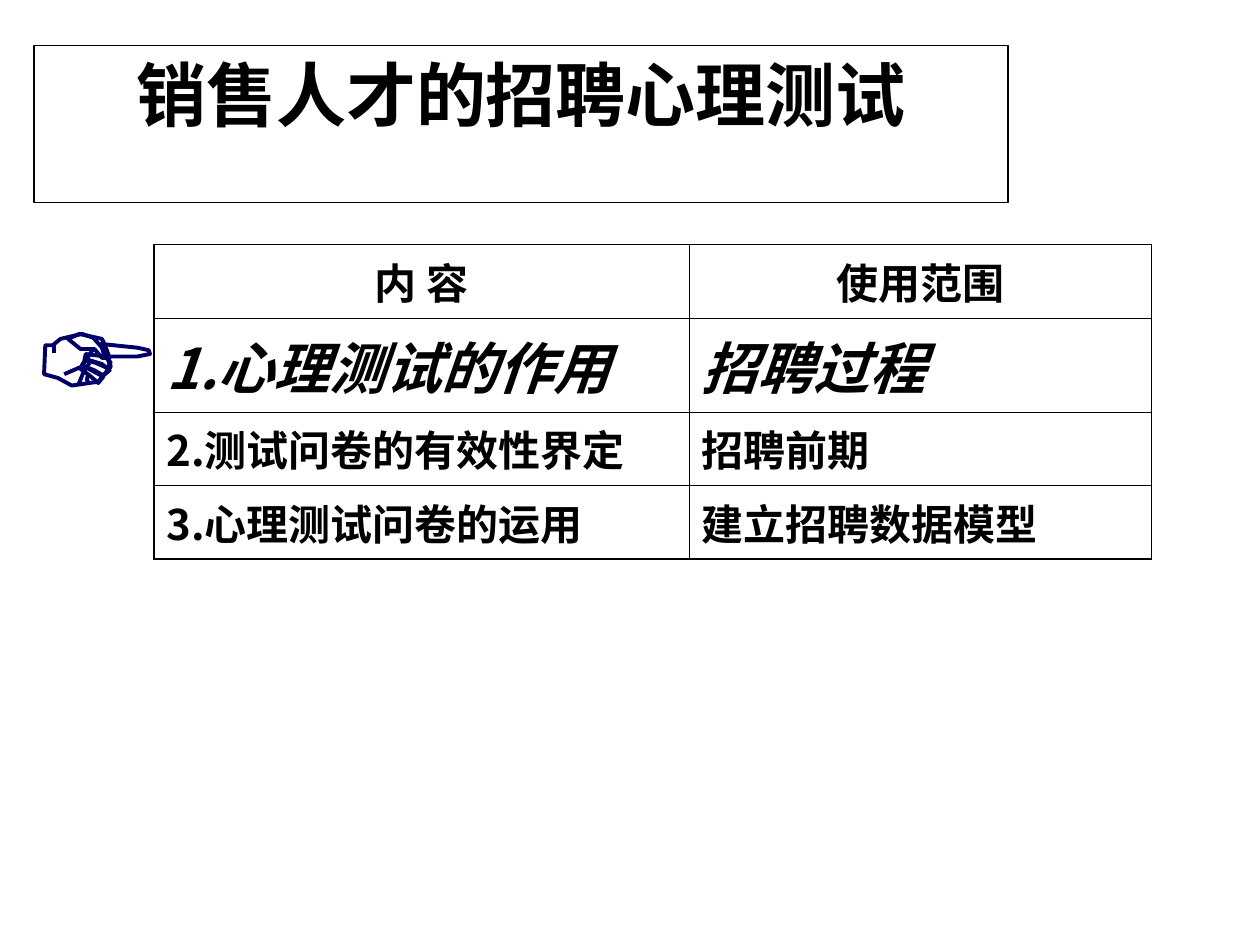
from dataclasses import dataclass

from pptx import Presentation
from pptx.dml.color import RGBColor as Color
from pptx.enum.text import MSO_ANCHOR as Anchor, MSO_AUTO_SIZE as AutoSize, PP_ALIGN as Align
from pptx.oxml.ns import qn
from pptx.util import Inches, Pt
from lxml.etree import SubElement


@dataclass(frozen=True)
class Theme:
    font: str = "Noto Sans CJK SC"
    ink: str = "000000"
    paper: str = "FFFFFF"
    hand: str = "000066"
    title: int = 40
    body: int = 24
    focus: int = 32
    frame: float = 0.75
    stroke: float = 2.25
    outer: float = 1.08
    inner: float = 0.45


THEME = Theme()
WIDTH, HEIGHT = 10, 7.5
TITLE = "销售人才的招聘心理测试"
TITLE_BOX = (0.27, 0.36, 7.73, 1.25)
TABLE_AT = (1.22, 1.94)
COLUMNS = (4.25, 3.67)
ROW, FOCUS_ROW = 0.55, 0.64
HANGING = 0.58
HEADER, FOCUS = 0, 1
ROWS = [
    ("内 容", "使用范围"),
    ("1.心理测试的作用", "招聘过程"),
    ("2.测试问卷的有效性界定", "招聘前期"),
    ("3.心理测试问卷的运用", "建立招聘数据模型"),
]

UNITS_PER_INCH = 100
PALM = [(35, 297), (46, 300), (57, 306), (78, 303), (82, 298), (88, 291),
        (82, 277), (74, 268), (65, 265), (48, 269), (42, 274), (36, 274)]
POINTING_FINGER = [(83, 283), (109, 283), (119, 281), (118, 278), (109, 276), (80, 273)]
THUMB = [(83, 273), (87, 284), (81, 284), (75, 277), (64, 277), (54, 269), (63, 265), (81, 269)]
CURLED_FINGERS = [
    [(85, 292), (88, 288), (84, 283), (68, 281), (67, 286), (76, 288)],
    [(82, 298), (87, 294), (81, 289), (68, 285), (65, 290), (75, 294)],
    [(78, 304), (71, 298), (64, 293), (67, 291), (82, 299)],
]
CREASES = [
    [(71, 288), (66, 296), (62, 306)],
    [(74, 277), (65, 291), (51, 297)],
    [(70, 304), (69, 301), (70, 297)],
    [(43, 274), (43, 280)],
]


def write(frame, text, size, align=Align.LEFT, italic=False, hanging=0):
    para = frame.paragraphs[0]
    para.alignment = align
    para.space_before = Pt(0)
    if hanging:
        props = para._p.get_or_add_pPr()
        props.set("marL", str(Inches(hanging)))
        props.set("indent", str(-Inches(hanging)))
    span = para.add_run()
    span.text = text
    font = span.font
    font.name, font.size, font.bold, font.italic = THEME.font, Pt(size), True, italic
    font.color.rgb = Color.from_string(THEME.ink)
    SubElement(span._r.get_or_add_rPr(), qn("a:ea"), typeface=THEME.font)


def add_title(page):
    box = page.shapes.title
    box.left, box.top, box.width, box.height = map(Inches, TITLE_BOX)
    box.fill.solid()
    box.fill.fore_color.rgb = Color.from_string(THEME.paper)
    box.line.color.rgb = Color.from_string(THEME.ink)
    box.line.width = Pt(THEME.frame)
    frame = box.text_frame
    frame.auto_size = AutoSize.NONE
    frame.word_wrap = True
    frame.vertical_anchor = Anchor.TOP
    write(frame, TITLE, THEME.title, align=Align.CENTER)


def set_borders(cell, outer_sides):
    props = cell._tc.get_or_add_tcPr()
    for side in "LRTB":
        width = THEME.outer if side in outer_sides else THEME.inner
        line = SubElement(props, qn(f"a:ln{side}"), w=str(Pt(width)))
        SubElement(SubElement(line, qn("a:solidFill")), qn("a:srgbClr"), val=THEME.ink)


def add_contents(page):
    heights = [FOCUS_ROW if row == FOCUS else ROW for row in range(len(ROWS))]
    size = (sum(COLUMNS), sum(heights))
    table = page.shapes.add_table(
        len(ROWS), len(COLUMNS), *map(Inches, TABLE_AT + size)).table
    table.first_row = table.horz_banding = False
    for column, width in zip(table.columns, COLUMNS):
        column.width = Inches(width)
    for row, texts in enumerate(ROWS):
        table.rows[row].height = Inches(heights[row])
        for column, text in enumerate(texts):
            cell = table.cell(row, column)
            sides = {"L": column == 0, "R": column == len(COLUMNS) - 1,
                     "T": row == 0, "B": row == len(ROWS) - 1}
            set_borders(cell, [side for side, is_outer in sides.items() if is_outer])
            cell.fill.solid()
            cell.fill.fore_color.rgb = Color.from_string(THEME.paper)
            write(cell.text_frame, text,
                  THEME.focus if row == FOCUS else THEME.body,
                  align=Align.CENTER if row == HEADER else Align.LEFT,
                  italic=row == FOCUS,
                  hanging=HANGING if row != HEADER and column == 0 else 0)


def draw_stroke(group, points, close):
    builder = group.shapes.build_freeform(*points[0], scale=Inches(1) / UNITS_PER_INCH)
    builder.add_line_segments(points[1:], close=close)
    shape = builder.convert_to_shape()
    shape.shadow.inherit = False
    shape.fill.background()
    shape.line.color.rgb = Color.from_string(THEME.hand)
    shape.line.width = Pt(THEME.stroke)


def add_hand(page):
    hand = page.shapes.add_group_shape()
    for points in [PALM, POINTING_FINGER, THUMB, *CURLED_FINGERS]:
        draw_stroke(hand, points, close=True)
    for points in CREASES:
        draw_stroke(hand, points, close=False)


def main():
    deck = Presentation()
    deck.slide_width, deck.slide_height = Inches(WIDTH), Inches(HEIGHT)
    page = deck.slides.add_slide(deck.slide_layouts.get_by_name("Title Only"))
    add_title(page)
    add_contents(page)
    add_hand(page)
    deck.save("out.pptx")


if __name__ == "__main__":
    main()
